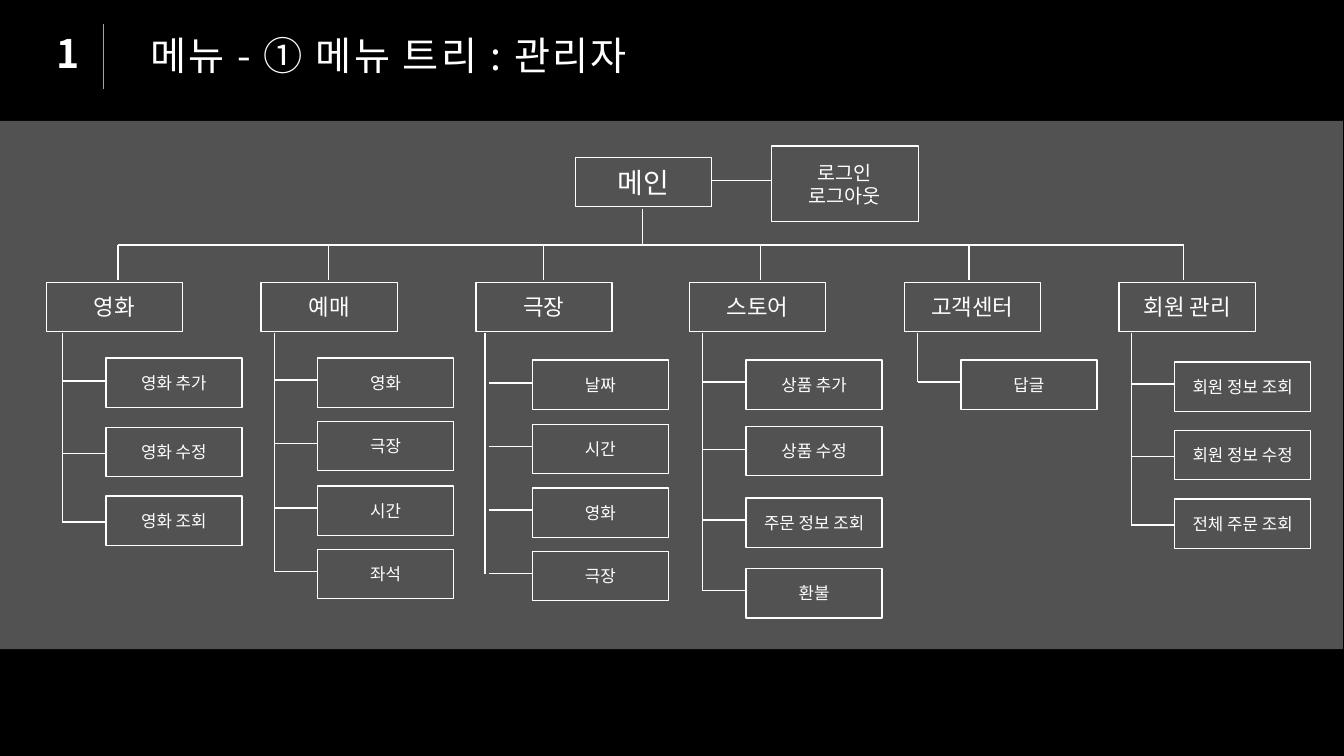
import dataclasses

import lxml.etree
import pptx
import pptx.dml.color
import pptx.enum.shapes
import pptx.enum.text
import pptx.oxml.ns
import pptx.util

PX = 9144  # EMU per px, 100 px to the inch
ALIGN = pptx.enum.text.PP_ALIGN
ANCHOR = pptx.enum.text.MSO_ANCHOR


@dataclasses.dataclass(frozen=True)
class Theme:
    font: str = "Noto Sans CJK KR"
    background: str = "000000"
    ink: str = "FFFFFF"
    grey: str = "A5A5A5"
    title: int = 28
    root: int = 20
    menu: int = 16
    login: int = 14
    item: int = 12


class Deck:
    def __init__(self, theme):
        self.theme = theme
        self.prs = pptx.Presentation()
        self.prs.slide_width = 1333 * PX
        self.prs.slide_height = 750 * PX
        self.s = self.prs.slides.add_slide(self.prs.slide_layouts[6])
        fill = self.s.background.fill
        fill.solid()
        fill.fore_color.rgb = self.rgb(theme.background)

    def rgb(self, color):
        return pptx.dml.color.RGBColor.from_string(color)

    def sub(self, parent, tag, **attributes):
        return lxml.etree.SubElement(parent, pptx.oxml.ns.qn(tag), attributes)

    def set_text(self, tf, text, size, align, bold=False, spacing=0):
        """Fill a text frame; spacing is in hundredths of a point."""
        tf.word_wrap = True
        tf.text = text
        for p in tf.paragraphs:
            p.alignment = align
            for r in p.runs:
                r.font.size = pptx.util.Pt(size)
                r.font.bold = bold
                r.font.color.rgb = self.rgb(self.theme.ink)
                r.font.name = self.theme.font
                rPr = r.font._element
                self.sub(rPr, "a:ea", typeface=self.theme.font)
                if spacing:
                    rPr.set("spc", str(spacing))

    def rect(self, x, y, w, h):
        sp = self.s.shapes.add_shape(
            pptx.enum.shapes.MSO_SHAPE.RECTANGLE, x * PX, y * PX, w * PX, h * PX)
        sp.shadow.inherit = False
        return sp

    def band(self, x, y, w, h):
        """Half-transparent grey panel."""
        sp = self.rect(x, y, w, h)
        sp.fill.solid()
        sp.fill.fore_color.rgb = self.rgb(self.theme.grey)
        color = sp._element.spPr.find(".//" + pptx.oxml.ns.qn("a:srgbClr"))
        self.sub(color, "a:alpha", val="50000")
        sp.line.fill.background()

    def box(self, x, y, text, size, w=135, h=49):
        sp = self.rect(x, y, w, h)
        sp.fill.background()
        sp.line.color.rgb = self.rgb(self.theme.ink)
        sp.line.width = pptx.util.Pt(1)
        sp.text_frame.vertical_anchor = ANCHOR.MIDDLE
        self.set_text(sp.text_frame, text, size, ALIGN.CENTER)

    def label(self, x, y, w, h, text, align, **style):
        tf = self.s.shapes.add_textbox(x * PX, y * PX, w * PX, h * PX).text_frame
        self.set_text(tf, text, self.theme.title, align, **style)
        tf.auto_size = pptx.enum.text.MSO_AUTO_SIZE.SHAPE_TO_FIT_TEXT

    def line(self, x1, y1, x2, y2, color=None, width=1):
        c = self.s.shapes.add_connector(
            pptx.enum.shapes.MSO_CONNECTOR.STRAIGHT, x1 * PX, y1 * PX, x2 * PX, y2 * PX)
        c.line.color.rgb = self.rgb(color or self.theme.ink)
        c.line.width = pptx.util.Pt(width)
        self.sub(c._element.spPr, "a:effectLst")

    def branch(self, x, drop_x, item_x, trunk_x, name, items):
        """One menu below the bus; items are (text, box top, stub y)."""
        self.line(drop_x, BUS_Y, drop_x, 278)
        self.box(x, 280, name, self.theme.menu)
        self.line(trunk_x, 330, trunk_x, items[-1][2])
        for text, top, stub_y in items:
            self.line(item_x - 43, stub_y, item_x, stub_y)
            self.box(item_x, top, text, self.theme.item)


BUS_Y = 243
# drop x, item x, trunk x, menu, items
BRANCHES = [
    (117, 105, 62, "영화",
     [("영화 추가", 355, 378), ("영화 수정", 424, 450), ("영화 조회", 492, 518)]),
    (326, 315, 272, "예매",
     [("영화", 355, 377), ("극장", 418, 440), ("시간", 482, 504), ("좌석", 545, 567)]),
    (539, 528, 481, "극장",
     [("날짜", 357, 380), ("시간", 421, 443), ("영화", 484, 506), ("극장", 547, 569)]),
    (754, 740, 697, "스토어",
     [("상품 추가", 357, 379), ("상품 수정", 423, 446),
      ("주문 정보 조회", 494, 516), ("환불", 564, 586)]),
    (961, 953, 910, "고객센터", [("답글", 357, 379)]),
    (1174, 1165, 1122, "회원 관리",
     [("회원 정보 조회", 359, 381), ("회원 정보 수정", 427, 453),
      ("전체 주문 조회", 495, 521)]),
]


def main():
    theme = Theme()
    deck = Deck(theme)
    deck.band(-1, 120, 1333, 524)
    deck.line(103, 24, 103, 88, theme.grey, 0.5)
    deck.label(46, 24, 44, 57, "1", ALIGN.LEFT, bold=True)
    deck.label(97, 26, 534, 57, "메뉴 - ① 메뉴 트리 : 관리자", ALIGN.RIGHT, spacing=150)

    deck.box(571, 156, "메인", theme.root)
    deck.line(705, 179, 765, 179)
    deck.box(765, 145, "로그인\n로그아웃", theme.login, w=146, h=75)
    deck.line(637, 207, 637, BUS_Y)
    deck.line(BRANCHES[0][0], BUS_Y, BRANCHES[-1][0], BUS_Y)
    for i, branch in enumerate(BRANCHES):
        deck.branch(46 + round(212.8 * i), *branch)
    deck.prs.save("out.pptx")


if __name__ == "__main__":
    main()
